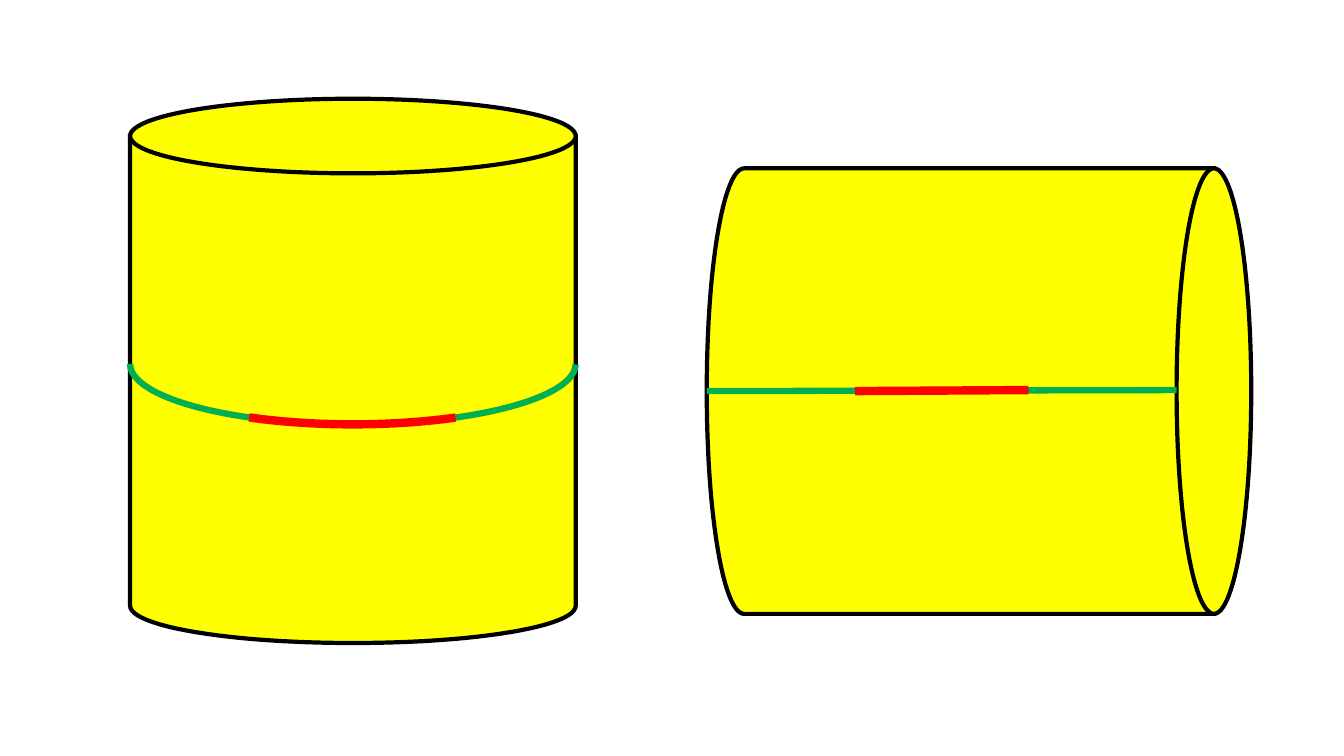
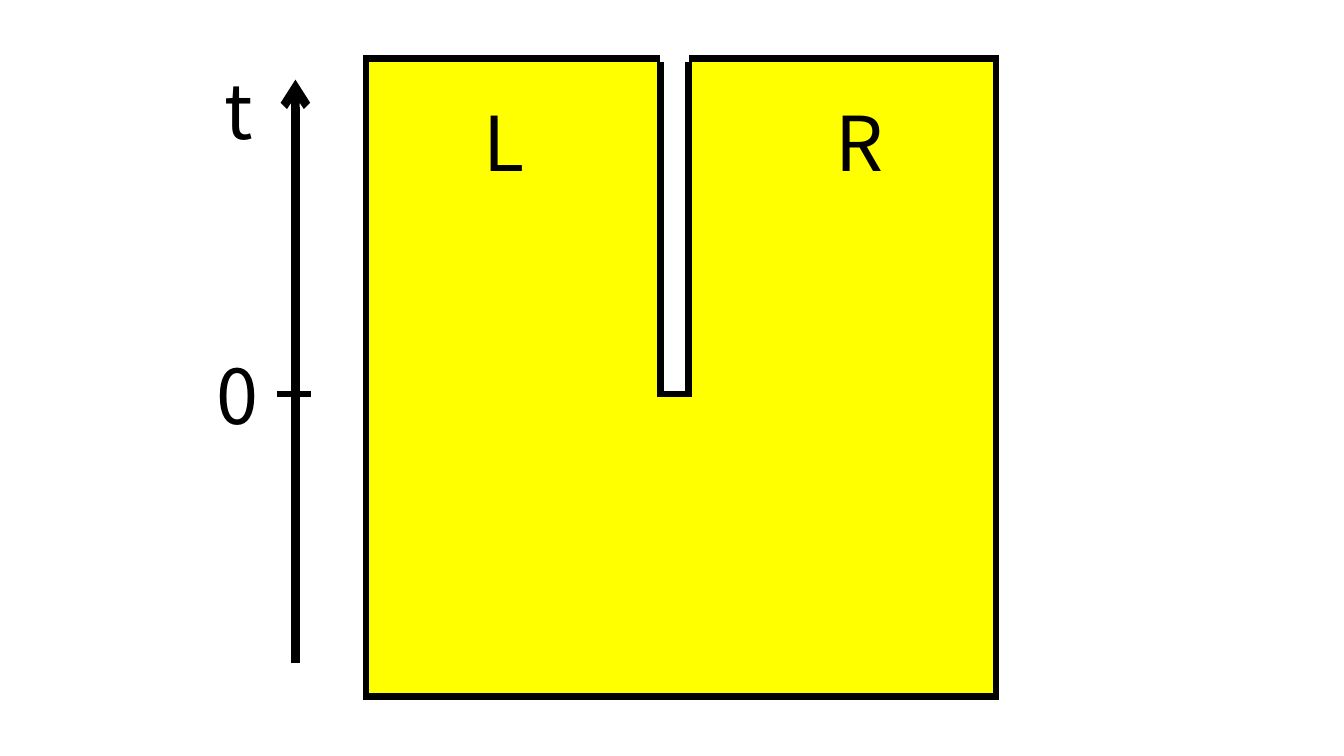
"""Draw two cylinders with marked curves and a notched strip along a time axis."""
from dataclasses import dataclass
from math import cos, pi, sin

from lxml import etree
from pptx import Presentation
from pptx import util as u
from pptx.dml.color import RGBColor
from pptx.enum import shapes, text
from pptx.oxml.ns import qn


@dataclass(frozen=True)
class Theme:
    """Colours, type and line widths shared by the slides."""
    surface: str = "FFFF00"
    ink: str = "000000"
    paper: str = "FFFFFF"
    curve: str = "00B050"
    segment: str = "FF0000"
    font: str = "Noto Sans CJK JP"
    label_size: float = 54
    thin: float = 3
    medium: float = 4.5
    thick: float = 6


THEME = Theme()


def set_outline(shape, color, width):
    """Give a shape or connector a mitred outline and return its XML line."""
    shape.line.color.rgb = RGBColor.from_string(color)
    shape.line.width = u.Pt(width)
    outline = shape._element.spPr.find(qn("a:ln"))
    etree.SubElement(outline, qn("a:miter"), lim="800000")
    return outline


def style_shape(shape, fill, color, width):
    """Set the fill and outline of a shape without a shadow."""
    shape.shadow.inherit = False
    if fill:
        shape.fill.solid()
        shape.fill.fore_color.rgb = RGBColor.from_string(fill)
    else:
        shape.fill.background()
    set_outline(shape, color, width)


def add_preset(page, kind, frame, fill, color=THEME.ink, width=THEME.medium):
    """Add a preset shape at left, top, width, height in inches."""
    shape = page.shapes.add_shape(kind, *map(u.Inches, frame))
    style_shape(shape, fill, color, width)
    return shape


def add_line(page, start, end, color=THEME.ink, width=THEME.medium, arrow=False):
    """Add a straight line, with an arrowhead at its end if asked."""
    line = page.shapes.add_connector(
        shapes.MSO_CONNECTOR.STRAIGHT, *map(u.Inches, (*start, *end)))
    outline = set_outline(line, color, width)
    if arrow:
        etree.SubElement(outline, qn("a:tailEnd"), type="arrow")
    etree.SubElement(line._element.spPr, qn("a:effectLst"))


def add_arc(page, frame, angles, color, width):
    """Add an open arc turned so that it sags downwards."""
    arc = add_preset(page, shapes.MSO_SHAPE.ARC, frame, None, color, width)
    arc.rotation = 180
    for index, angle in enumerate(angles):
        arc.adjustments[index] = angle * 0.6


def add_cylinder(page, rim, axis, length=4.66, radius=2.21, bulge=0.37):
    """Add a cylinder that runs from its rim centre along a unit axis."""
    (x, y), (dx, dy) = rim, axis

    def point(along, across):
        """Turn cylinder coordinates into slide lengths."""
        return (u.Inches(x + dx * along + dy * across),
                u.Inches(y + dy * along + dx * across))

    steps = 48
    base = [point(length + bulge * sin(pi * i / steps), radius * cos(pi * i / steps))
            for i in range(steps + 1)]
    builder = page.shapes.build_freeform(*point(0, -radius))
    builder.add_line_segments([point(0, radius), *base], close=True)
    style_shape(builder.convert_to_shape(), THEME.surface, THEME.ink, THEME.thin)

    half_width = radius * abs(dy) + bulge * abs(dx)
    half_height = radius * abs(dx) + bulge * abs(dy)
    frame = (x - half_width, y - half_height, 2 * half_width, 2 * half_height)
    add_preset(page, shapes.MSO_SHAPE.OVAL, frame, THEME.surface, width=THEME.thin)


def add_label(page, wording, frame):
    """Add a centred one-line label."""
    box = page.shapes.add_textbox(*map(u.Inches, frame))
    box.text_frame.word_wrap = False
    box.text_frame.auto_size = text.MSO_AUTO_SIZE.SHAPE_TO_FIT_TEXT
    para = box.text_frame.paragraphs[0]
    para.text = wording
    para.alignment = text.PP_ALIGN.CENTER
    span = para.runs[0]
    span.font.name = THEME.font
    span.font.size = u.Pt(THEME.label_size)
    span.font.color.rgb = RGBColor.from_string(THEME.ink)


def draw_cylinders(page):
    """Draw an upright and a lying cylinder, each with a marked curve."""
    add_cylinder(page, rim=(3.5, 1.35), axis=(0, 1))
    add_cylinder(page, rim=(12.04, 3.88), axis=(-1, 0))
    girth = (1.29, 3.01, 4.42, 1.2)
    add_arc(page, girth, (180.14, 0), THEME.curve, THEME.medium)
    add_arc(page, girth, (207.63, 332.71), THEME.segment, THEME.thick)
    add_line(page, (7.01, 3.88), (11.67, 3.87), THEME.curve, THEME.medium)
    add_line(page, (8.48, 3.88), (10.2, 3.87), THEME.segment, THEME.thick)


def draw_notched_strip(page):
    """Draw the strip that splits into L and R at time zero."""
    top, zero = 0.58, 3.91
    notch_left, notch_width = 6.55, 0.28
    rectangle = shapes.MSO_SHAPE.RECTANGLE
    add_preset(page, rectangle, (3.63, top, 6.25, 6.33), THEME.surface)
    add_line(page, (2.93, 6.58), (2.93, 0.79), width=THEME.thick, arrow=True)
    add_preset(page, rectangle, (notch_left, top, notch_width, zero - top), THEME.paper)
    add_line(page, (notch_left, top), (notch_left + notch_width, top), THEME.paper)
    add_line(page, (2.75, zero), (3.08, zero))
    labels = {
        "t": (2.13, top, 0.47, 1.01),
        "0": (2.05, 3.41, 0.62, 1.01),
        "L": (4.67, 0.9, 0.65, 1.01),
        "R": (8.17, 0.9, 0.71, 1.01),
    }
    for wording, frame in labels.items():
        add_label(page, wording, frame)


def main():
    """Build and save the deck."""
    deck = Presentation()
    deck.slide_width, deck.slide_height = u.Inches(13.33), u.Inches(7.5)
    for draw in (draw_cylinders, draw_notched_strip):
        draw(deck.slides.add_slide(deck.slide_layouts[6]))
    deck.save("out.pptx")


if __name__ == "__main__":
    main()
